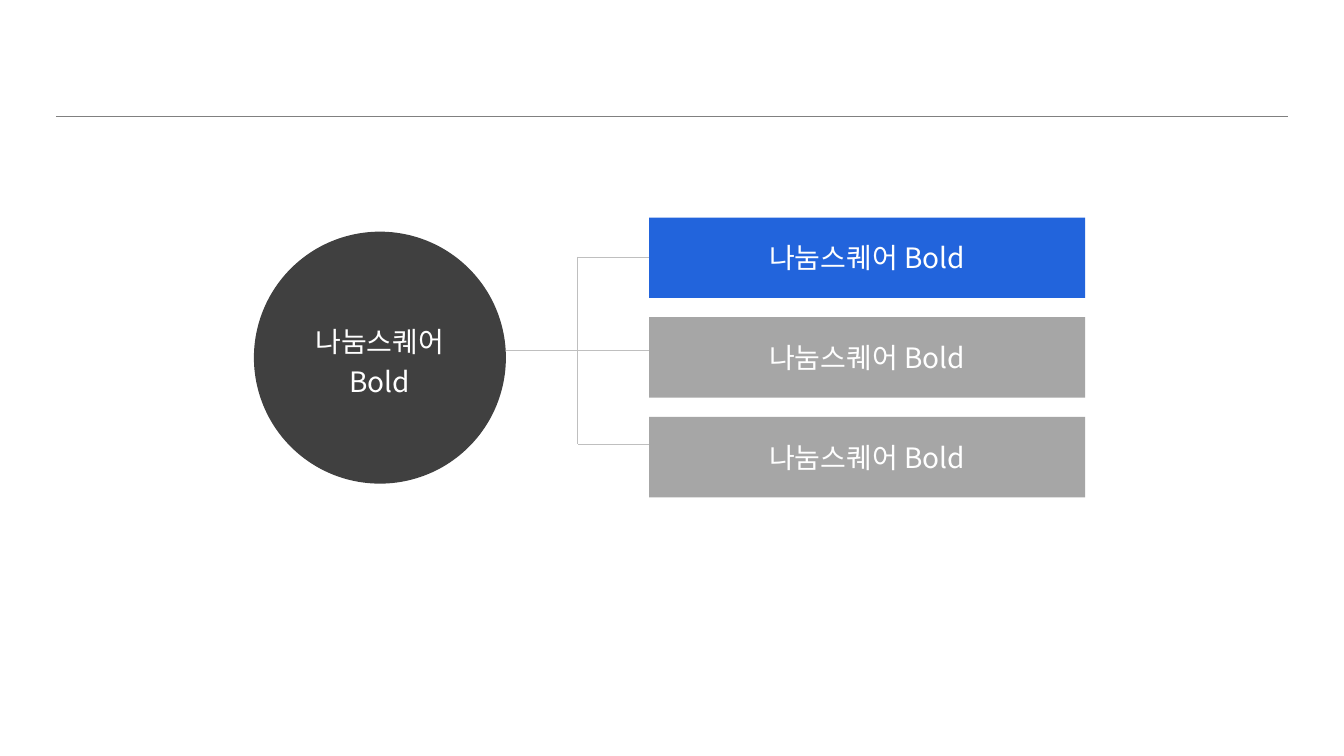
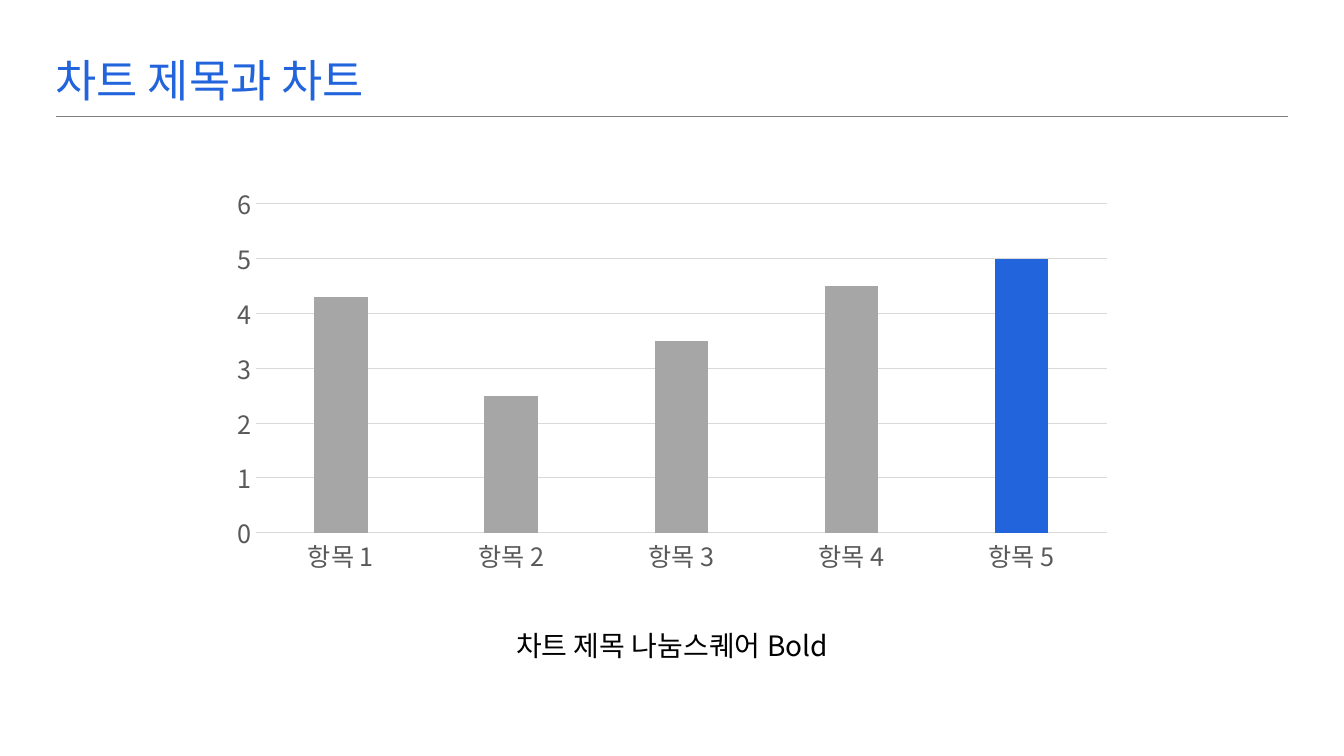
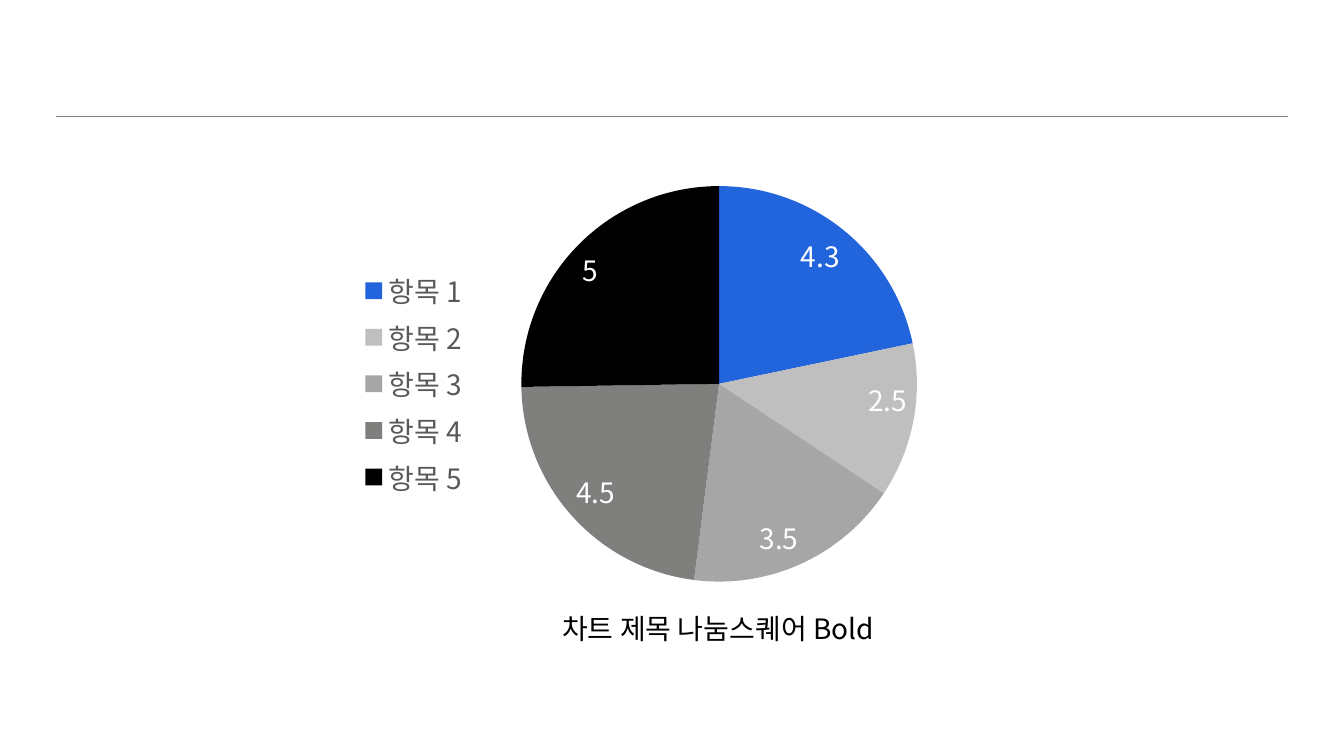
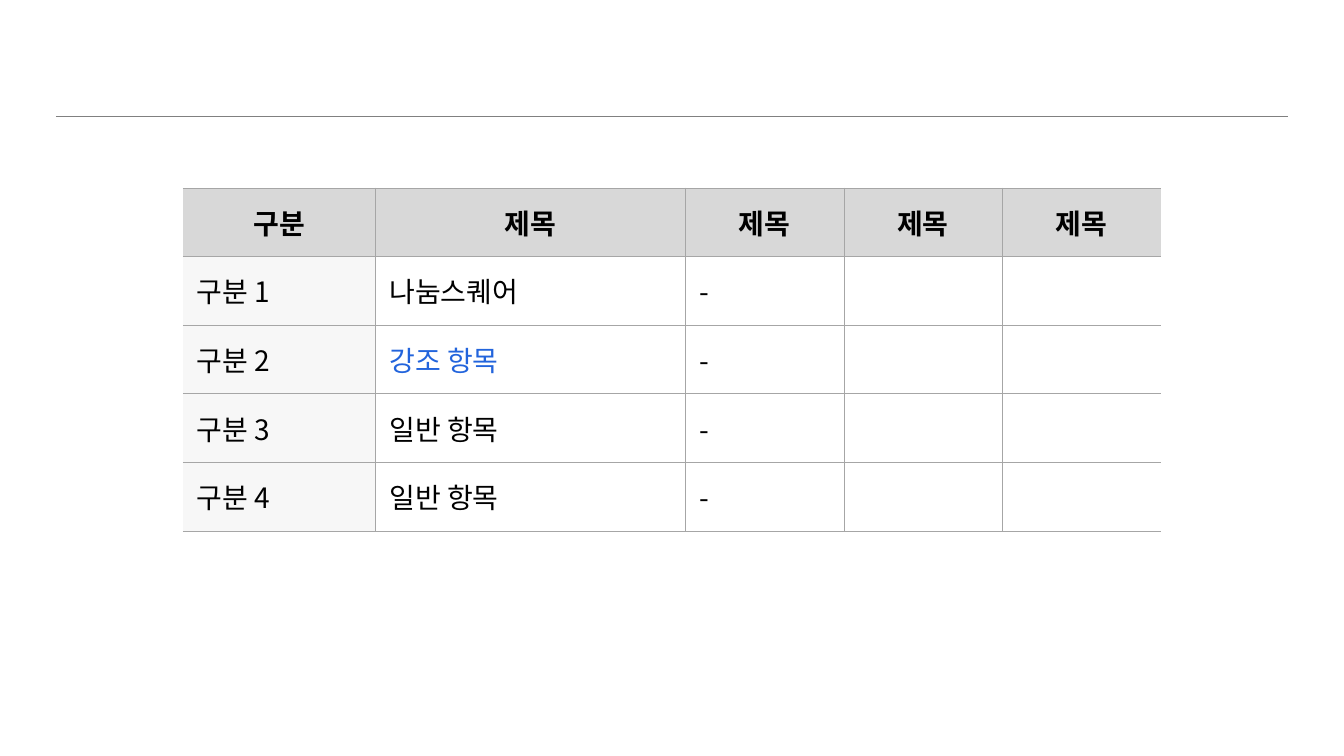
from dataclasses import dataclass

from lxml import etree
from pptx import Presentation
from pptx.chart.data import CategoryChartData
from pptx.dml.color import RGBColor
from pptx.enum import chart as ch, shapes, text
from pptx.oxml import ns
from pptx.util import Pt


# Theme: colours, font and type sizes
@dataclass(frozen=True)
class Theme:
    font: str = "Noto Sans CJK KR"
    accent: str = "2264DC"
    black: str = "000000"
    white: str = "FFFFFF"
    dark: str = "404040"
    gray: str = "A6A6A6"
    rule: str = "808080"
    branch: str = "BFBFBF"
    grid: str = "D9D9D9"
    label: str = "595959"
    header: str = "D8D8D8"
    side: str = "F7F7F7"
    pie: tuple = ("2264DC", "BFBFBF", "A6A6A7", "7F7F7E", "000000")
    title_size: int = 32
    body_size: int = 20
    axis_size: int = 18


T = Theme()
CATEGORIES = [f"항목 {n}" for n in range(1, 6)]
VALUES = (4.3, 2.5, 3.5, 4.5, 5)
CAPTION = "차트 제목 나눔스퀘어 Bold"


# Formatting helpers
def pts(*values):
    return [Pt(v) for v in values]


def set_attrs(obj, **values):
    for name, value in values.items():
        setattr(obj, name, value)


def set_font(font, size=T.body_size, color=T.black, bold=False):
    set_attrs(font, name=T.font, size=Pt(size), bold=bold)
    font.color.rgb = RGBColor.from_string(color)


def set_fill(obj, color):
    obj.fill.solid()
    obj.fill.fore_color.rgb = RGBColor.from_string(color)


def set_line(line, color, width):
    line.color.rgb = RGBColor.from_string(color)
    line.width = Pt(width)


def set_east_asian(root):
    """Use the theme font for Hangul too, wherever a Latin font is set."""
    for latin in list(root.iter(ns.qn("a:latin"))):
        ea = etree.Element(ns.qn("a:ea"), typeface=T.font)
        latin.addnext(ea)


def write(tf, content, align=text.PP_ALIGN.CENTER, spacing=None, **font):
    set_attrs(tf, word_wrap=True, vertical_anchor=text.MSO_ANCHOR.MIDDLE)
    p = tf.paragraphs[0]
    set_attrs(p, alignment=align, line_spacing=spacing)
    r = p.add_run()
    r.text = content
    set_font(r.font, **font)


# Slide elements
def add_line(s, x1, y1, x2, y2, color=T.branch, width=0.5):
    line = s.shapes.add_connector(shapes.MSO_CONNECTOR.STRAIGHT, *pts(x1, y1, x2, y2))
    set_line(line.line, color, width)
    etree.SubElement(line.element.spPr, ns.qn("a:effectLst"))
    return line


def add_block(s, kind, box, color, content, spacing=None):
    sp = s.shapes.add_shape(kind, *pts(*box))
    sp.shadow.inherit = False
    set_fill(sp, color)
    sp.line.fill.background()
    write(sp.text_frame, content, spacing=spacing, color=T.white)


def add_caption(s, left, top):
    box = s.shapes.add_textbox(*pts(left, top, 312, 38))
    write(box.text_frame, CAPTION)


def add_title(s, content):
    title = s.shapes.title
    set_attrs(title, left=Pt(32.4), top=Pt(17.3), width=Pt(777), height=Pt(67))
    write(title.text_frame, content, align=text.PP_ALIGN.LEFT, spacing=1.3,
          size=T.title_size, color=T.accent)


def add_chart(s, kind, box, colors):
    data = CategoryChartData()
    data.categories = CATEGORIES
    data.add_series("Series 1", VALUES)
    chart = s.shapes.add_chart(kind, *pts(*box), data).chart
    set_attrs(chart, has_title=False, has_legend=False)
    set_font(chart.font, size=10)
    for i, color in enumerate(colors):
        set_fill(chart.plots[0].series[0].points[i].format, color)
    return chart


def set_border(properties, side, color):
    ln = etree.SubElement(properties, ns.qn(f"a:ln{side}"), w=str(Pt(0.25)))
    if color:
        fill = etree.SubElement(ln, ns.qn("a:solidFill"))
        etree.SubElement(fill, ns.qn("a:srgbClr"), val=color)
    else:
        etree.SubElement(ln, ns.qn("a:noFill"))


def format_cell(cell, properties, i, j, last):
    set_attrs(cell, margin_left=Pt(10), margin_right=Pt(10), margin_top=0,
              margin_bottom=0, vertical_anchor=text.MSO_ANCHOR.MIDDLE)
    # Borders come before the fill; the outer sides stay open
    for side, drawn in {"L": j > 0, "R": j < last, "T": True, "B": True}.items():
        set_border(properties, side, T.gray if drawn else None)
    if i == 0 or j == 0:
        set_fill(cell, T.header if i == 0 else T.side)
    else:
        cell.fill.background()


def add_table(s, left, top, widths, row_height, rows, accent_cell):
    size = len(rows), len(widths)
    frame = s.shapes.add_table(*size, *pts(left, top, sum(widths), row_height * len(rows)))
    table = frame.table
    set_attrs(table, first_row=False, horz_banding=False)
    for column, width in zip(table.columns, widths):
        column.width = Pt(width)
    cell_elements = frame.element.iter(ns.qn("a:tc"))
    for i, row in enumerate(rows):
        table.rows[i].height = Pt(row_height)
        for j, content in enumerate(row):
            cell = table.cell(i, j)
            properties = next(cell_elements).get_or_add_tcPr()
            format_cell(cell, properties, i, j, len(row) - 1)
            if content:
                p = cell.text_frame.paragraphs[0]
                p.alignment = text.PP_ALIGN.CENTER if i == 0 else text.PP_ALIGN.LEFT
                r = p.add_run()
                r.text = content
                set_font(r.font, bold=i == 0,
                         color=T.accent if (i, j) == accent_cell else T.black)


# Slides
def diagram_slide(s):
    add_block(s, shapes.MSO_SHAPE.OVAL, (181.4, 165.5, 180, 180), T.dark,
              "나눔스퀘어 Bold", spacing=1.2)
    bar_left, trunk, top, middle, bottom = 463.6, 412.6, 183.5, 250.5, 317.5
    for i, color in enumerate((T.accent, T.gray, T.gray)):
        add_block(s, shapes.MSO_SHAPE.RECTANGLE, (bar_left, 155.4 + 71.2 * i, 311.5, 57.5),
                  color, "나눔스퀘어 Bold")
    add_line(s, 361.4, middle, bar_left, middle)
    add_line(s, trunk, top, trunk, bottom)
    for y in (top, bottom):
        add_line(s, bar_left, y, trunk, y)


def column_slide(s):
    add_title(s, "차트 제목과 차트")
    chart = add_chart(s, ch.XL_CHART_TYPE.COLUMN_CLUSTERED, (157, 126.7, 646.5, 288.7),
                      [T.gray] * 4 + [T.accent])
    set_attrs(chart.plots[0], gap_width=219, overlap=-27, vary_by_categories=False)
    for axis in (chart.category_axis, chart.value_axis):
        set_attrs(axis, major_tick_mark=ch.XL_TICK_MARK.NONE,
                  minor_tick_mark=ch.XL_TICK_MARK.NONE)
        set_font(axis.tick_labels.font, size=T.axis_size, color=T.label)
    set_line(chart.category_axis.format.line, T.grid, 0.75)
    axis = chart.value_axis
    set_attrs(axis, minimum_scale=0, maximum_scale=6, major_unit=1)
    axis.format.line.fill.background()
    set_line(axis.major_gridlines.format.line, T.grid, 0.75)
    add_caption(s, 324, 442)
    set_east_asian(chart.element)


def pie_slide(s):
    chart = add_chart(s, ch.XL_CHART_TYPE.PIE, (248.4, 123, 442, 302.4), T.pie)
    chart.has_legend = True
    set_attrs(chart.legend, position=ch.XL_LEGEND_POSITION.LEFT, include_in_layout=False)
    set_font(chart.legend.font, color=T.label)
    labels = chart.plots[0].series[0].data_labels
    set_attrs(labels, show_value=True, position=ch.XL_LABEL_POSITION.INSIDE_END)
    set_font(labels.font, color=T.white)
    add_caption(s, 357, 430)
    set_east_asian(chart.element)


def table_slide(s):
    items = ("나눔스퀘어", "강조 항목", "일반 항목", "일반 항목")
    rows = [["구분"] + ["제목"] * 4]
    rows += [[f"구분 {n}", item, "-", "", ""] for n, item in enumerate(items, 1)]
    add_table(s, 130.6, 134.2, (137.5, 221.4, 113.2, 113.2, 113.2), 49, rows,
              accent_cell=(2, 1))


def main():
    prs = Presentation()
    set_attrs(prs, slide_width=Pt(960), slide_height=Pt(540))
    title_only, blank = prs.slide_layouts[5], prs.slide_layouts[6]
    pages = ((diagram_slide, blank), (column_slide, title_only),
             (pie_slide, blank), (table_slide, blank))
    for build, layout in pages:
        s = prs.slides.add_slide(layout)
        build(s)
        set_east_asian(s.element)
    # The rule under the title belongs to the master
    rule = add_line(prs.slides[0], 40, 83.3, 920, 83.3, T.rule, 0.75)
    prs.slide_master.shapes.element.append(rule.element)
    prs.save("out.pptx")


if __name__ == "__main__":
    main()
